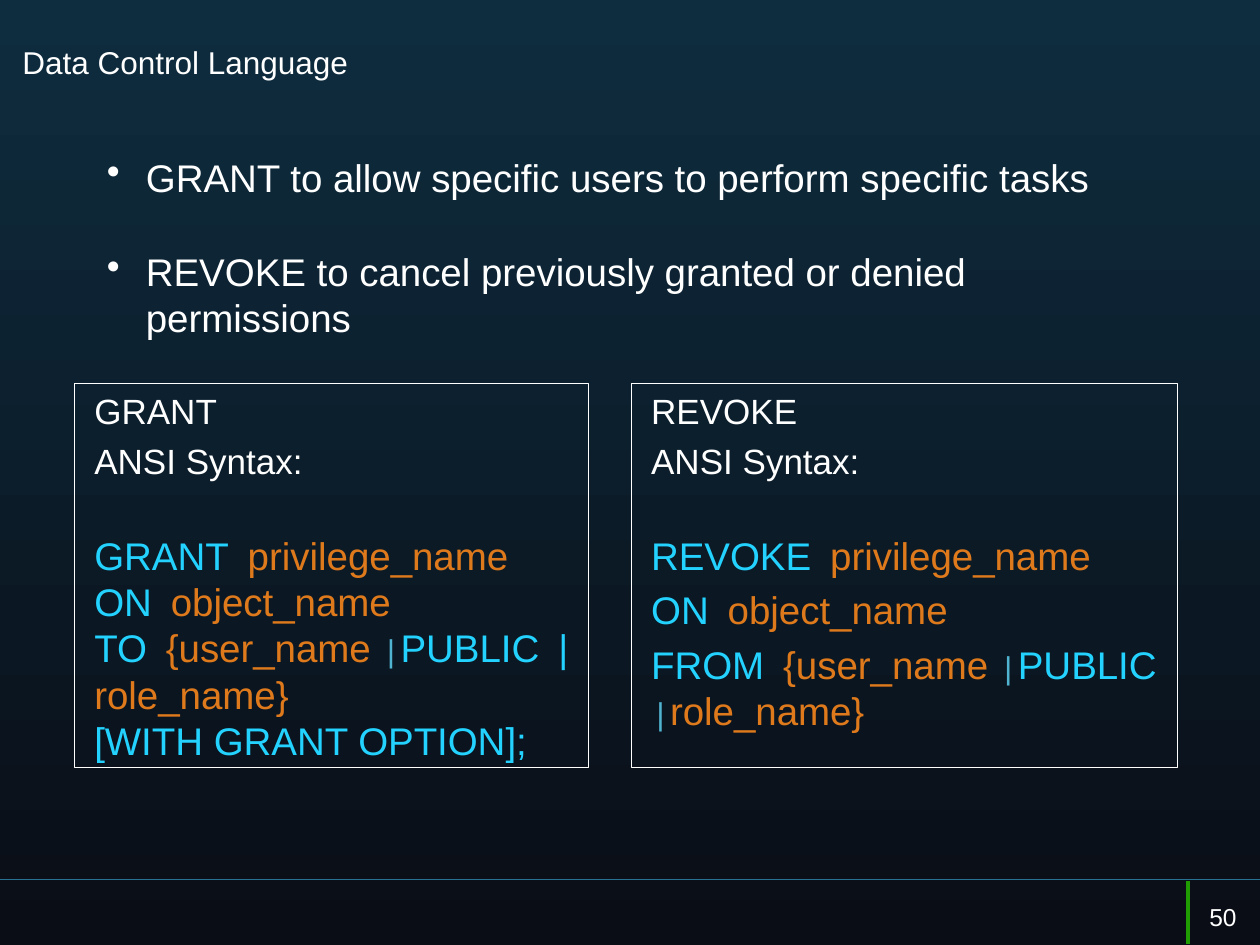
import pptx
import pptx.dml.color
import pptx.enum.shapes
import pptx.enum.text
import pptx.oxml.ns
import pptx.util
from lxml import etree

Color = pptx.dml.color.RGBColor
Anchor = pptx.enum.text.MSO_ANCHOR
WHITE = Color(0xFF, 0xFF, 0xFF)
CYAN = Color(0x23, 0xD2, 0xFF)
ORANGE = Color(0xDF, 0x7A, 0x1C)
TEAL = Color(0x50, 0xB3, 0xCF)
RULE = Color(0x28, 0x70, 0x94)
GREEN = Color(0x20, 0x9D, 0x03)
SKY = Color(0x0E, 0x2D, 0x3F)
NIGHT = Color(0x0A, 0x0D, 0x16)

HEADING = (20, "Arial", WHITE)
BODY = (22, "Arial", WHITE)
KEYWORD = (22, "Arial", CYAN)
NAME = (22, "Arial", ORANGE)
MARK = (18, "Courier New", TEAL)
GAP = (" ", MARK)
BAR = ("|", MARK)


class Sheet:
    """Draws on one slide, with lengths in tenths of an inch (100 columns by 75 rows)."""

    def __init__(self, deck):
        self.cell = deck.slide_width / 100
        self.page = deck.slides.add_slide(deck.slide_layouts[6])

    def place(self, *cells):
        return [pptx.util.Emu(round(cell * self.cell)) for cell in cells]

    def background(self, *colors):
        fill = self.page.background.fill
        fill.gradient()
        fill.gradient_angle = 270
        for stop, color in zip(fill.gradient_stops, colors):
            stop.color.rgb = color

    def line(self, ends, color, width):
        straight = pptx.enum.shapes.MSO_CONNECTOR.STRAIGHT
        rule = self.page.shapes.add_connector(straight, *self.place(*ends))
        rule.line.color.rgb = color
        rule.line.width = pptx.util.Pt(width)
        etree.SubElement(rule._element.spPr, pptx.oxml.ns.qn("a:effectLst"))

    def text(self, area, paras, anchor=Anchor.TOP, indent=0, hanging=0):
        box = self.page.shapes.add_textbox(*self.place(*area))
        self.fill_text(box, paras, anchor, indent, hanging)

    def panel(self, area, paras):
        rectangle = pptx.enum.shapes.MSO_SHAPE.RECTANGLE
        box = self.page.shapes.add_shape(rectangle, *self.place(*area))
        box.shadow.inherit = False
        box.fill.background()
        box.line.color.rgb = WHITE
        box.line.width = pptx.util.Pt(0.15)
        self.fill_text(box, paras, Anchor.TOP, 0.6, 0)

    def fill_text(self, box, paras, anchor, indent, hanging):
        frame = box.text_frame
        frame.word_wrap = True
        frame.vertical_anchor = anchor
        for index, (space, lines) in enumerate(paras):
            para = frame.add_paragraph() if index else frame.paragraphs[0]
            para.alignment = pptx.enum.text.PP_ALIGN.LEFT
            para.space_before = pptx.util.Pt(space)
            margin, first = self.place(indent, -hanging)
            props = para._p.get_or_add_pPr()
            props.set("marL", str(margin))
            props.set("indent", str(first))
            if hanging:
                etree.SubElement(props, pptx.oxml.ns.qn("a:buChar")).set("char", "•")
            for number, line in enumerate(lines):
                if number:
                    para.add_line_break()
                for words, style in line:
                    self.span(para, words, *style)

    def span(self, para, words, size, font, color):
        span = para.add_run()
        span.text = words
        span.font.size = pptx.util.Pt(size)
        span.font.name = font
        span.font.color.rgb = color


def syntax_head(command):
    return [(0, [[(command, HEADING)]]), (4.6, [[("ANSI Syntax:", HEADING)]])]


def clause(keyword, name):
    return [(keyword, KEYWORD), GAP, (name, NAME)]


def main():
    deck = pptx.Presentation()
    deck.slide_width = pptx.util.Inches(10)
    deck.slide_height = pptx.util.Inches(7.5)
    sheet = Sheet(deck)
    sheet.background(SKY, NIGHT)
    sheet.line((100, 69.8, 0, 69.8), RULE, 0.75)
    sheet.line((94.3, 69.9, 94.3, 74.9), GREEN, 2)

    bullets = [
        (0, "GRANT to allow specific users to perform specific tasks"),
        (27.5, "REVOKE to cancel previously granted or denied permissions"),
    ]
    sheet.text((2.5, 11.7, 90, 53.7), [(space, [[(words, BODY)]]) for space, words in bullets],
               indent=8.1, hanging=3.1)
    sheet.text((0.8, 2, 75, 5.8), [(0, [[("Data Control Language", (18, "Arial", WHITE))]])],
               anchor=Anchor.MIDDLE)

    public = [BAR, ("PUBLIC", KEYWORD)]
    grant = [
        clause("GRANT", "privilege_name"),
        clause("ON", "object_name"),
        clause("TO", "{user_name ") + public + [GAP, ("|", KEYWORD), ("role_name}", NAME)],
        [("[WITH GRANT OPTION];", KEYWORD)],
    ]
    revoke = [
        clause("REVOKE", "privilege_name"),
        clause("ON", "object_name"),
        clause("FROM", "{user_name ") + public + [(" |", MARK), ("role_name}", NAME)],
    ]
    sheet.panel((5.9, 30.4, 40.8, 30.5), syntax_head("GRANT") + [(29, grant)])
    sheet.panel((50.1, 30.4, 43.3, 30.5), syntax_head("REVOKE") + [
        (4.6 if index else 29, [line]) for index, line in enumerate(revoke)])
    sheet.text((95, 71.1, 5, 3), [(0, [[("50", (14, "Arial", WHITE))]])])
    deck.save("out.pptx")


if __name__ == "__main__":
    main()
